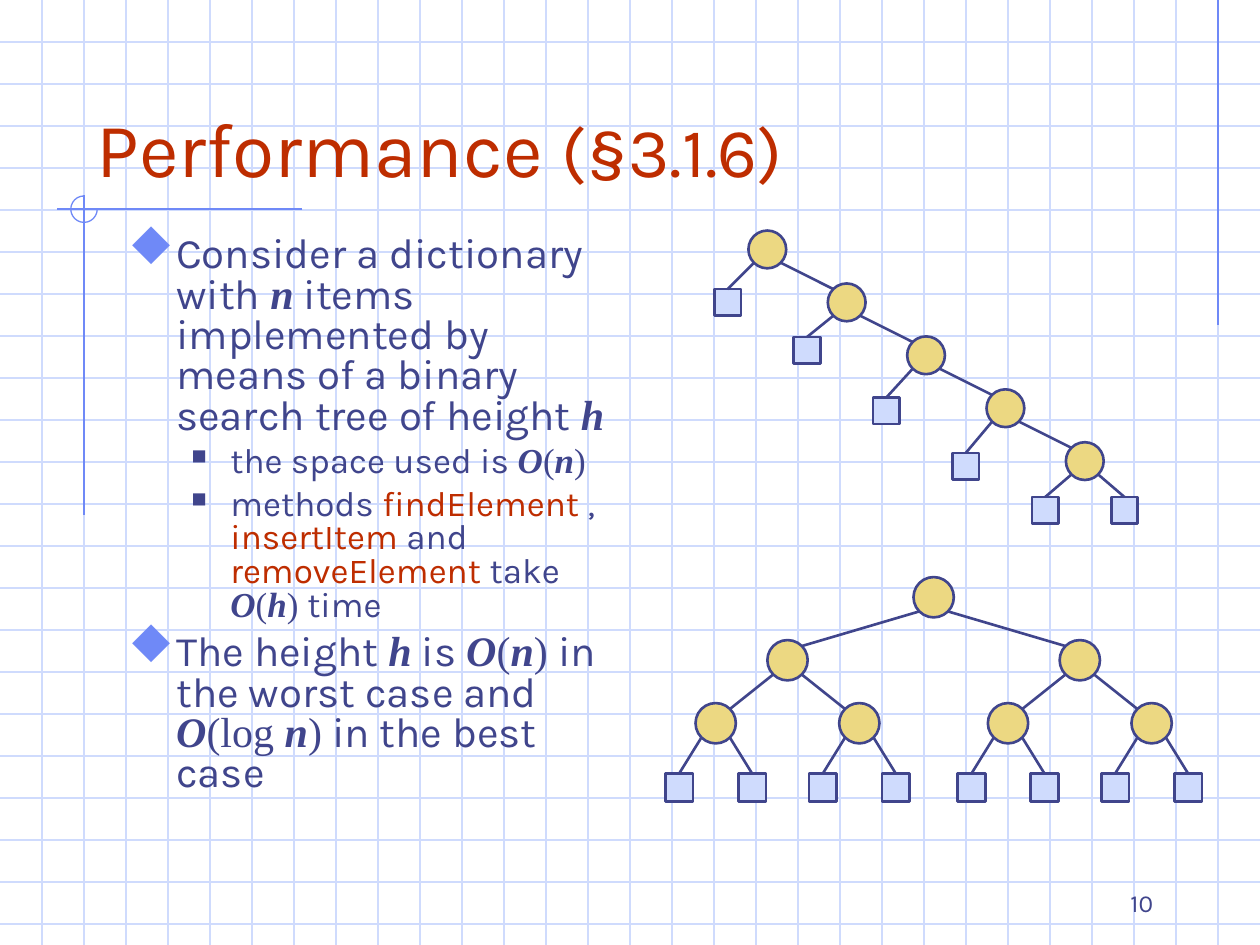
from dataclasses import dataclass
from typing import NamedTuple

from lxml import etree
from pptx import Presentation
from pptx.dml.color import RGBColor
from pptx.enum.shapes import MSO_CONNECTOR, MSO_SHAPE
from pptx.enum.text import MSO_ANCHOR, MSO_AUTO_SIZE, PP_ALIGN
from pptx.oxml.ns import qn
from pptx.util import Inches, Pt

STRAIGHT = MSO_CONNECTOR.STRAIGHT
ARC, OVAL, RECTANGLE = MSO_SHAPE.ARC, MSO_SHAPE.OVAL, MSO_SHAPE.RECTANGLE
BOTTOM, LEFT, RIGHT = MSO_ANCHOR.BOTTOM, PP_ALIGN.LEFT, PP_ALIGN.RIGHT
NO_AUTOFIT = MSO_AUTO_SIZE.NONE

INK = RGBColor(0x40, 0x45, 0x8C)
ACCENT = RGBColor(0xBE, 0x2D, 0x00)
RULE_BLUE = RGBColor(0x6F, 0x89, 0xF7)
PALE_BLUE = RGBColor(0xCF, 0xDB, 0xFD)
GOLD = RGBColor(0xEC, 0xD8, 0x82)

SANS, SERIF, SYMBOLS = "Karla", "Times New Roman", "Wingdings"
DIAMOND, SQUARE = "u", "n"  # letters that the symbol font draws as ⬥ and ■
WIDTH, HEIGHT = 10, 7.5
CELL = 1 / 3  # graph paper pitch in inches
TOP_SIDE = 0


class Point(NamedTuple):
    x: float
    y: float


class Style(NamedTuple):
    font: str = SANS
    color: RGBColor = INK
    slanted: bool = False


PLAIN, CODE = Style(), Style(color=ACCENT)
MATH, UPRIGHT = Style(SERIF, slanted=True), Style(SERIF)


@dataclass
class Level:
    size: int
    margin: float
    hanging: float
    space_before: int
    bullet: str
    bullet_color: RGBColor
    bullet_percent: int


@dataclass
class TreeStyle:
    radius: float
    leaf_side: float

    @property
    def diagonal(self) -> float:
        return self.radius * 0.7


MAIN = Level(24, 0.38, 0.38, 6, DIAMOND, RULE_BLUE, 110)
DETAIL = Level(20, 0.81, 0.31, 5, SQUARE, INK, 60)

BODY = [
    (MAIN, [("Consider a dictionary with ", PLAIN), ("n", MATH),
            (" items implemented by means of a binary search tree of height ", PLAIN),
            ("h", MATH)]),
    (DETAIL, [("the space used is ", PLAIN), ("O", MATH), ("(", UPRIGHT),
              ("n", MATH), (")", UPRIGHT)]),
    (DETAIL, [("methods ", PLAIN), ("findElement ", CODE), (", ", PLAIN),
              ("insertItem", CODE), (" and ", PLAIN), ("removeElement", CODE),
              (" take ", PLAIN), ("O", MATH), ("(", UPRIGHT), ("h", MATH),
              (") ", UPRIGHT), ("time", PLAIN)]),
    (MAIN, [("The height ", PLAIN), ("h", MATH), (" is ", PLAIN), ("O", MATH),
            ("(", UPRIGHT), ("n", MATH), (") ", UPRIGHT),
            ("in the worst case and ", PLAIN), ("O", MATH), ("(log ", UPRIGHT),
            ("n", MATH), (")", UPRIGHT), (" in the best case", PLAIN)]),
]


def add_line(slide, start: Point, end: Point, color: RGBColor, width: float):
    line = slide.shapes.add_connector(
        STRAIGHT, *(Inches(value) for value in (*start, *end)))
    line.line.color.rgb = color
    line.line.width = Pt(width)
    etree.SubElement(line.element.spPr, qn("a:effectLst"))
    return line


def add_node(slide, kind, center: Point, side: float, fill: RGBColor):
    shape = slide.shapes.add_shape(
        kind, Inches(center.x - side / 2), Inches(center.y - side / 2),
        Inches(side), Inches(side))
    shape.shadow.inherit = False
    shape.fill.solid()
    shape.fill.fore_color.rgb = fill
    shape.line.color.rgb = INK
    shape.line.width = Pt(1.5)
    return shape


def add_circle(slide, center: Point, style: TreeStyle) -> None:
    add_node(slide, OVAL, center, 2 * style.radius, GOLD)


def add_branch(slide, parent: Point, child: Point, style: TreeStyle):
    """Draw an edge between the facing diagonals of two circles."""
    reach = style.diagonal
    side = reach if child.x > parent.x else -reach
    return add_line(slide, Point(parent.x + side, parent.y + reach),
                    Point(child.x - side, child.y - reach), INK, 1.5)


def add_leaf(slide, parent: Point, center: Point, style: TreeStyle) -> None:
    leaf = add_node(slide, RECTANGLE, center, style.leaf_side, PALE_BLUE)
    add_branch(slide, parent, center, style).end_connect(leaf, TOP_SIDE)


def add_balanced_tree(slide, center: Point, style: TreeStyle,
                      levels: list[Point]) -> None:
    """Draw a full tree; each level is the offset of a child from its parent."""
    step, *deeper = levels
    for side in (-1, 1):
        child = Point(center.x + side * step.x, center.y + step.y)
        if deeper:
            add_branch(slide, center, child, style)
            add_balanced_tree(slide, child, style, deeper)
        else:
            add_leaf(slide, center, child, style)
    add_circle(slide, center, style)


def add_chain_tree(slide, root: Point, step: Point, leaf_heights: list[float],
                   style: TreeStyle) -> None:
    """Draw a tree whose right children form a chain of inner nodes."""
    chain = [Point(root.x + step.x * index, root.y + step.y * index)
             for index in range(len(leaf_heights))]
    for parent, child in zip(chain, chain[1:]):
        add_branch(slide, parent, child, style)
    for node, height in zip(chain, leaf_heights):
        add_leaf(slide, node, Point(node.x - step.x / 2, height), style)
    last = chain[-1]
    add_leaf(slide, last, Point(last.x + step.x / 2, leaf_heights[-1]), style)
    for node in chain:
        add_circle(slide, node, style)


def add_run(paragraph, text: str, style: Style, size: int) -> None:
    run = paragraph.add_run()
    run.text = text
    run.font.name = style.font
    run.font.size = Pt(size)
    run.font.color.rgb = style.color
    run.font.bold = run.font.italic = style.slanted


def set_bullet(paragraph, level: Level) -> None:
    properties = paragraph._p.get_or_add_pPr()
    properties.set("marL", str(Inches(level.margin)))
    properties.set("indent", str(-Inches(level.hanging)))
    color = etree.SubElement(properties, qn("a:buClr"))
    etree.SubElement(color, qn("a:srgbClr"), val=str(level.bullet_color))
    etree.SubElement(properties, qn("a:buSzPct"), val=str(level.bullet_percent * 1000))
    etree.SubElement(properties, qn("a:buFont"), typeface=SYMBOLS, charset="2")
    etree.SubElement(properties, qn("a:buChar"), char=level.bullet)


def add_text_frame(slide, left: float, top: float, width: float, height: float):
    box = slide.shapes.add_textbox(*(Inches(v) for v in (left, top, width, height)))
    box.text_frame.word_wrap = True
    return box.text_frame


def draw_background(slide) -> None:
    # Graph paper
    for row in range(1, int(HEIGHT / CELL) + 1):
        add_line(slide, Point(0, row * CELL), Point(WIDTH, row * CELL), PALE_BLUE, 0.75)
    for column in range(1, round(WIDTH / CELL)):
        add_line(slide, Point(column * CELL, 0), Point(column * CELL, HEIGHT),
                 PALE_BLUE, 0.75)
    # Blue rules and the open circle where two of them cross
    for start, end in ((Point(29 * CELL, 0), Point(29 * CELL, 2.58)),
                       (Point(2.4, 1.66), Point(0.45, 1.66)),
                       (Point(2 * CELL, 1.55), Point(2 * CELL, 4.09))):
        add_line(slide, start, end, RULE_BLUE, 0.75)
    arc = add_node(slide, ARC, Point(2 * CELL, 1.66), 0.21, PALE_BLUE)
    arc.fill.background()
    arc.line.color.rgb = RULE_BLUE
    arc.line.width = Pt(0.75)
    arc.adjustments[0], arc.adjustments[1] = 0, 162


def draw_text(slide) -> None:
    # Title, brought in front of the graph paper
    title = slide.shapes.title
    title.element.getparent().append(title.element)
    title.left, title.top = Inches(2 * CELL), Inches(CELL)
    title.width, title.height = Inches(8.5), Inches(1.25)
    title.text_frame.vertical_anchor = BOTTOM
    title.text_frame.auto_size = NO_AUTOFIT
    heading = title.text_frame.paragraphs[0]
    heading.alignment = LEFT
    add_run(heading, "Performance ", CODE, 44)
    add_run(heading, "(§3.1.6)", CODE, 40)
    # Bulleted text
    frame = add_text_frame(slide, 0.92, 1.83, 4.08, 5)
    for index, (level, spans) in enumerate(BODY):
        paragraph = frame.add_paragraph() if index else frame.paragraphs[0]
        set_bullet(paragraph, level)
        paragraph.line_spacing = 0.8
        paragraph.space_before = Pt(level.space_before if index else 0)
        for text, style in spans:
            add_run(paragraph, text, style, level.size)
    # Page number
    frame = add_text_frame(slide, 7.17, 6.83, 2.08, 0.5)
    frame.vertical_anchor = BOTTOM
    frame.paragraphs[0].alignment = RIGHT
    add_run(frame.paragraphs[0], "10", PLAIN, 14)


def main() -> None:
    presentation = Presentation()
    presentation.slide_width, presentation.slide_height = Inches(WIDTH), Inches(HEIGHT)
    slide = presentation.slides.add_slide(presentation.slide_layouts[5])
    draw_background(slide)
    draw_text(slide)
    # Worst case, then best case
    add_chain_tree(slide, Point(6.09, 1.98), Point(0.63, 0.42),
                   [2.4, 2.78, 3.26, 3.7, 4.05], TreeStyle(0.15, 0.21))
    add_balanced_tree(slide, Point(7.41, 4.74), TreeStyle(0.16, 0.22),
                      [Point(1.16, 0.5), Point(0.57, 0.5), Point(0.29, 0.51)])
    presentation.save("out.pptx")


if __name__ == "__main__":
    main()
